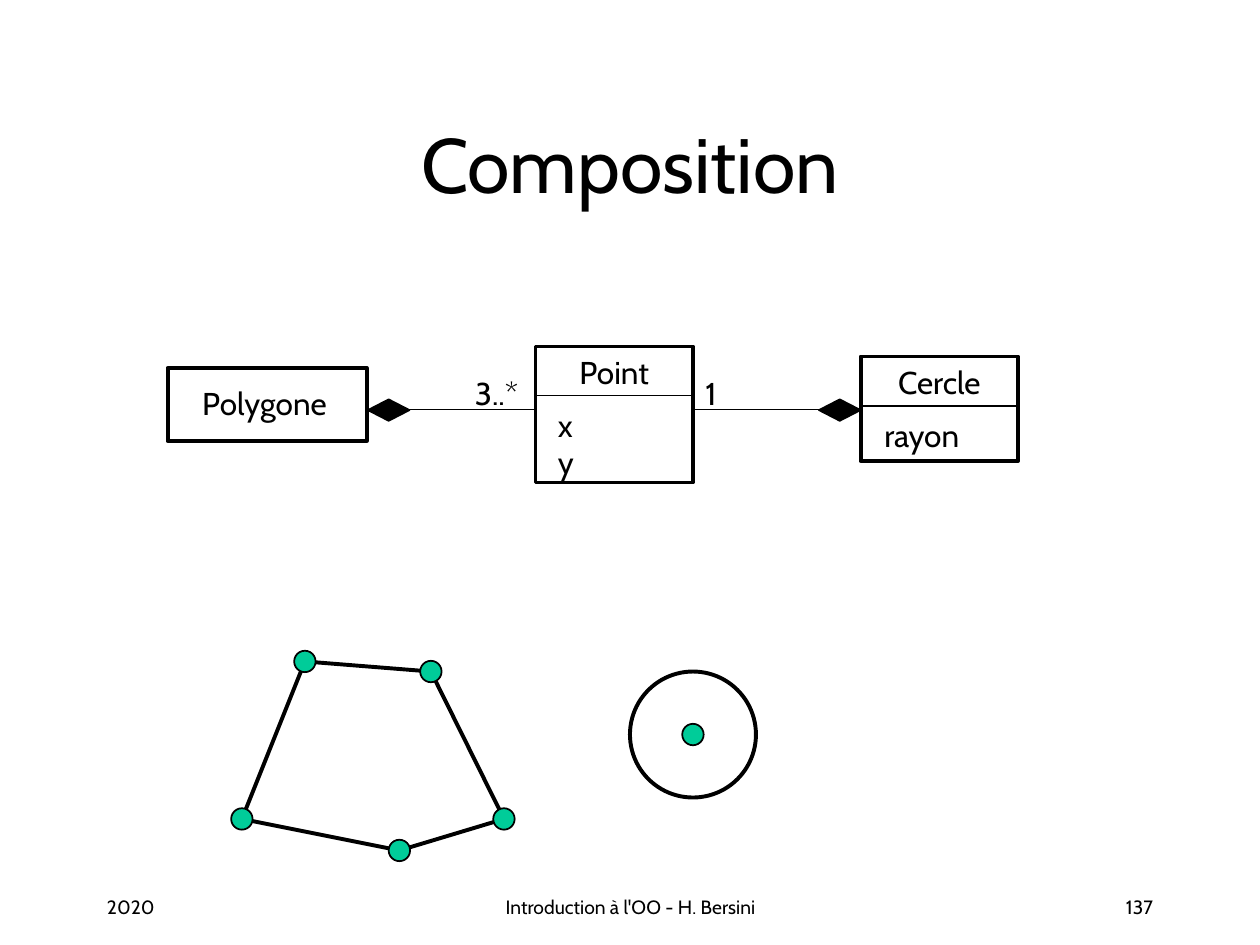
"""Build the Composition slide: a UML class diagram with a polygon and a circle."""
from dataclasses import dataclass

from lxml import etree
from pptx import Presentation
from pptx.dml.color import RGBColor
from pptx.enum.shapes import MSO_CONNECTOR, MSO_SHAPE
from pptx.enum.text import MSO_ANCHOR, MSO_AUTO_SIZE, PP_ALIGN
from pptx.oxml.ns import qn
from pptx.util import Inches, Pt

LEFT, CENTER, RIGHT = PP_ALIGN.LEFT, PP_ALIGN.CENTER, PP_ALIGN.RIGHT
TOP, MIDDLE = MSO_ANCHOR.TOP, MSO_ANCHOR.MIDDLE
RECTANGLE, OVAL = MSO_SHAPE.RECTANGLE, MSO_SHAPE.OVAL
DIAMOND = MSO_SHAPE.FLOWCHART_DECISION
STRAIGHT = MSO_CONNECTOR.STRAIGHT
NO_AUTOFIT = MSO_AUTO_SIZE.NONE


@dataclass(frozen=True)
class Theme:
    font: str = "Cabin"
    ink: RGBColor = RGBColor(0x00, 0x00, 0x00)
    dot: RGBColor = RGBColor(0x00, 0xCC, 0x99)
    title: int = 44
    body: int = 18
    footer: int = 11
    thick: float = 2.25
    thin: float = 1


theme = Theme()


def write_text(text, box, shape=None, size=theme.body, align=LEFT, anchor=TOP):
    left, top, width, height = map(Inches, box)
    if shape is None:
        shape = slide.shapes.add_textbox(left, top, width, height)
    shape.left, shape.top, shape.width, shape.height = left, top, width, height
    frame = shape.text_frame
    frame.text = text
    frame.word_wrap = True
    frame.auto_size = NO_AUTOFIT
    frame.vertical_anchor = anchor
    for paragraph in frame.paragraphs:
        paragraph.alignment = align
        paragraph.font.name = theme.font
        paragraph.font.size = Pt(size)
        paragraph.font.color.rgb = theme.ink


def style_shape(shape, fill=None, weight=theme.thick):
    shape.shadow.inherit = False
    if fill is None:
        shape.fill.background()
    else:
        shape.fill.solid()
        shape.fill.fore_color.rgb = fill
    shape.line.color.rgb = theme.ink
    shape.line.width = Pt(weight)


presentation = Presentation()
presentation.slide_width = Inches(10)
presentation.slide_height = Inches(7.5)
slide = presentation.slides.add_slide(presentation.slide_layouts[5])

write_text("Composition", (0.75, 0.67, 8.5, 1.25), shape=slide.shapes.title,
           size=theme.title, align=CENTER, anchor=MIDDLE)

for left, top, width, height in [
    (4.25, 2.75, 1.25, 1.08),
    (1.33, 2.92, 1.58, 0.58),
    (6.83, 2.83, 1.25, 0.83),
]:
    style_shape(slide.shapes.add_shape(
        RECTANGLE, Inches(left), Inches(top), Inches(width), Inches(height)))

for start, end, y in [
    (4.25, 5.5, 3.14),
    (6.83, 8.08, 3.22),
    (2.92, 4.25, 3.25),
    (5.5, 6.83, 3.25),
]:
    connector = slide.shapes.add_connector(
        STRAIGHT, Inches(start), Inches(y), Inches(end), Inches(y))
    connector.line.color.rgb = theme.ink
    connector.line.width = Pt(theme.thin)
    etree.SubElement(connector._element.spPr, qn("a:effectLst"))

for left in (2.92, 6.5):
    diamond = slide.shapes.add_shape(
        DIAMOND, Inches(left), Inches(3.17), Inches(0.33), Inches(0.17))
    style_shape(diamond, fill=theme.ink, weight=theme.thin)

for text, box, align in [
    ("Point", (4.25, 2.75, 1.25, 0.4), CENTER),
    ("x\ny", (4.33, 3.17, 1.08, 0.7), LEFT),
    ("Polygone", (1.33, 3, 1.54, 0.4), CENTER),
    ("3..*", (3.67, 2.92, 0.58, 0.4), LEFT),
    ("1", (5.5, 2.92, 0.33, 0.4), LEFT),
    ("Cercle", (6.83, 2.83, 1.25, 0.4), CENTER),
    ("rayon", (6.92, 3.25, 1.08, 0.4), LEFT),
]:
    write_text(text, box, align=align)

vertices = [(1.92, 6.5), (2.42, 5.25), (3.42, 5.33), (4, 6.5), (3.17, 6.75)]
corners = [(Inches(x), Inches(y)) for x, y in vertices]
builder = slide.shapes.build_freeform(*corners[0])
builder.add_line_segments(corners[1:], close=True)
style_shape(builder.convert_to_shape())

circle_center = (5.5, 5.83)
circles = [(circle_center, 1, None, theme.thick)]
circles += [(point, 0.17, theme.dot, theme.thin) for point in vertices + [circle_center]]
for (x, y), diameter, fill, weight in circles:
    circle = slide.shapes.add_shape(
        OVAL, Inches(x - diameter / 2), Inches(y - diameter / 2),
        Inches(diameter), Inches(diameter))
    style_shape(circle, fill=fill, weight=weight)

for text, left, width, align in [
    ("2020", 0.75, 2.08, LEFT),
    ("Introduction à l'OO - H. Bersini", 3.42, 3.17, CENTER),
    ("137", 7.17, 2.08, RIGHT),
]:
    write_text(text, (left, 7.06, width, 0.28), size=theme.footer, align=align)

presentation.save("out.pptx")
